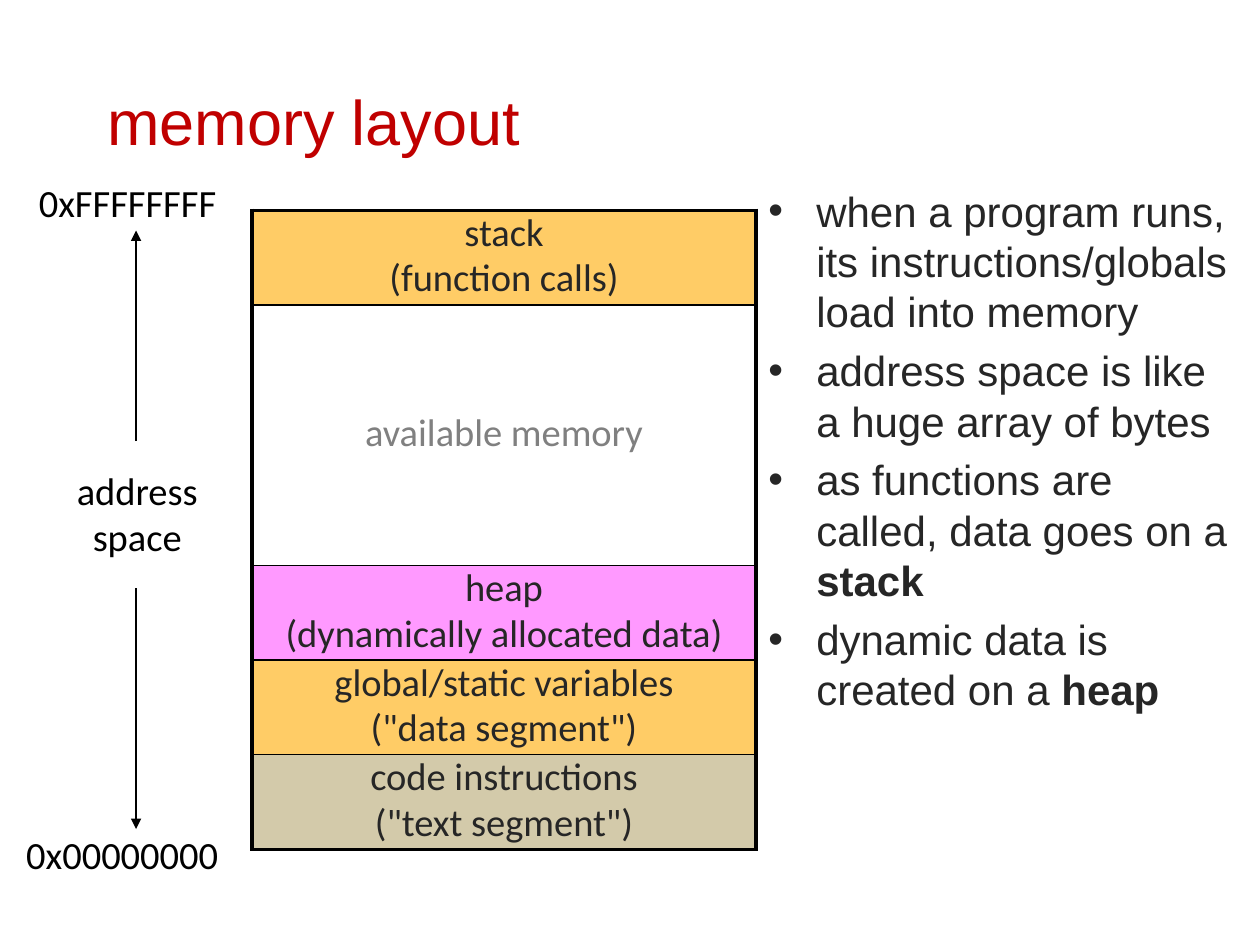
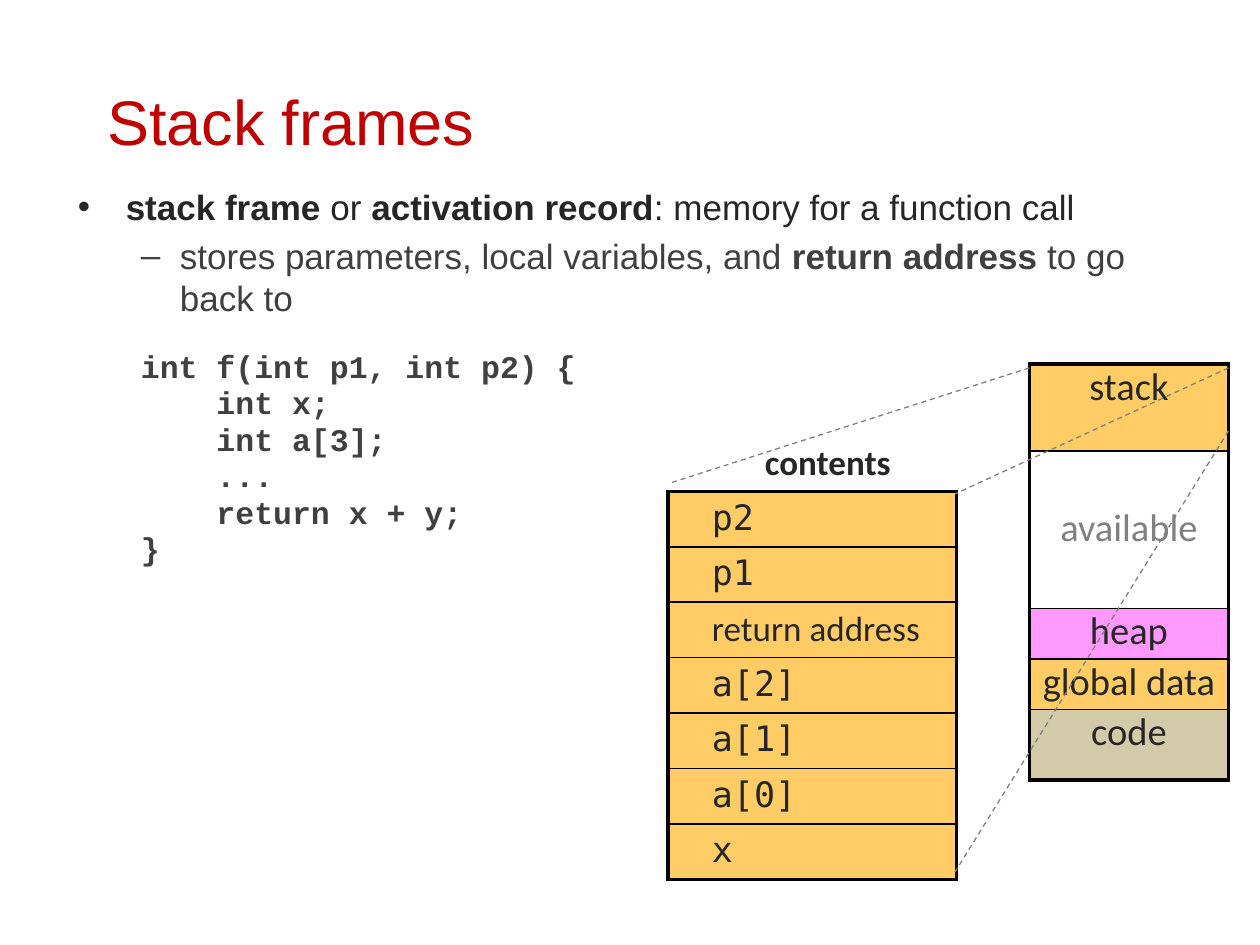
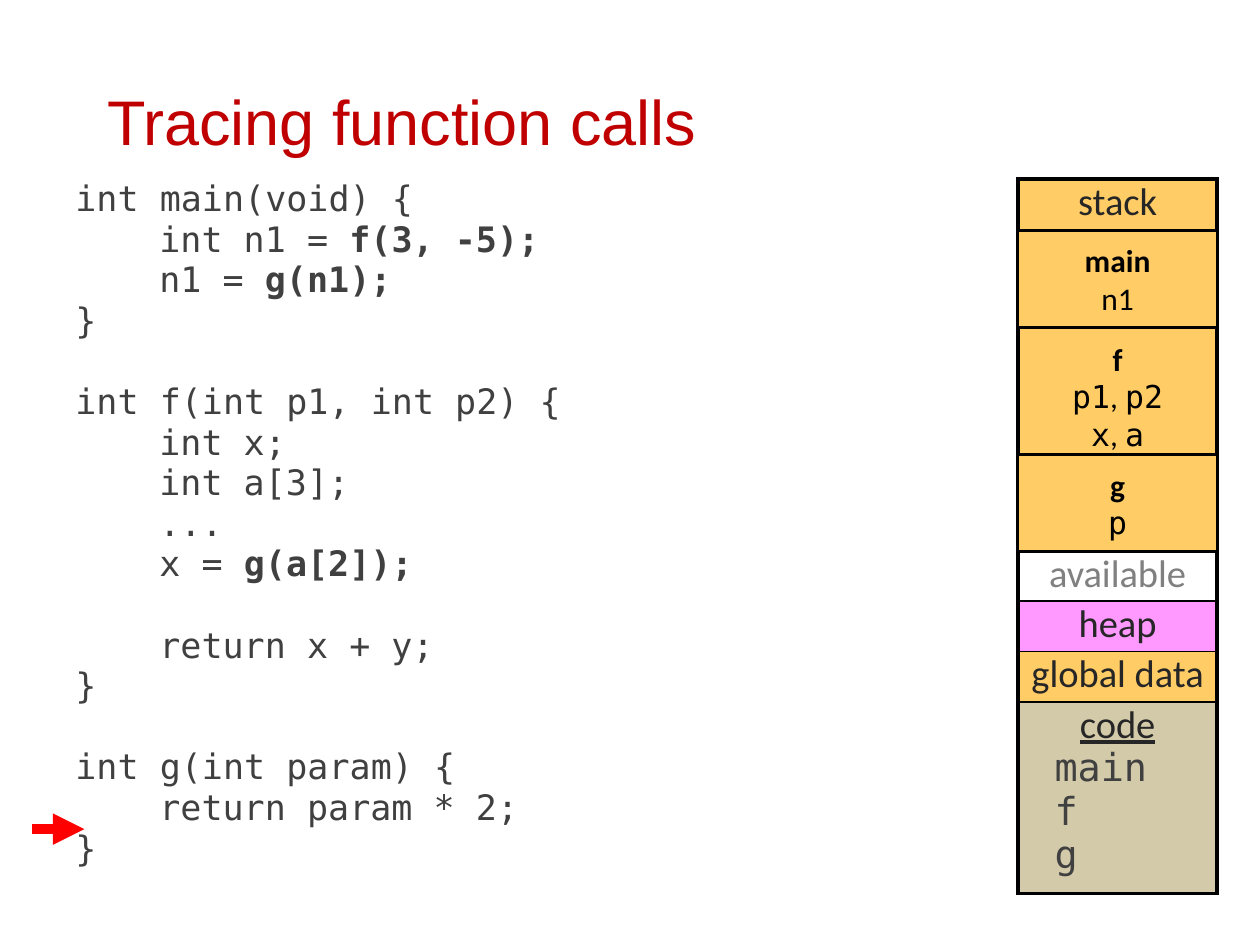
from collections import namedtuple
from dataclasses import dataclass

from lxml import etree
from pptx import Presentation
from pptx.dml.color import RGBColor
from pptx.enum.dml import MSO_LINE
from pptx.enum.shapes import MSO_CONNECTOR, MSO_SHAPE
from pptx.enum.text import MSO_ANCHOR, PP_ALIGN
from pptx.oxml.ns import qn
from pptx.util import Inches, Pt


@dataclass(frozen=True)
class Theme:
    # Colours
    title: str = "C00000"
    ink: str = "262626"
    detail: str = "404040"
    muted: str = "808080"
    black: str = "000000"
    marker: str = "FF0000"
    stack: str = "FFCC66"
    heap: str = "FF99FF"
    code: str = "D3CAAA"
    # Fonts
    sans: str = "Arial"
    label: str = "Calibri"
    mono: str = "DejaVu Sans Mono"
    typewriter: str = "Courier New"
    # Type sizes and line widths, in points
    title_size: int = 36
    body_size: int = 24
    text_size: int = 20
    code_size: int = 18
    label_size: int = 22
    outer_line: float = 2.25
    inner_line: float = 1
    frame_line: float = 1.5
    thin_line: float = 0.75


THEME = Theme()
Box = namedtuple("Box", "left top width height")
Region = namedtuple("Region", "lines fill height anchor", defaults=[MSO_ANCHOR.TOP])
LINE_HEIGHT = 1.2      # body line pitch, relative to the type size
TIGHT = 0.8            # line spacing of code and table cells
GAP = 0.2              # space before a paragraph, relative to the type size
MONO_WIDTH = 0.6       # character width of the monospaced fonts
LEVEL_TWO = 0.5        # left edge of second-level text


def rgb(value):
    return RGBColor.from_string(value)


def place(box):
    return [Inches(length) for length in box]


# ---- Text ----

def write(paragraph, text, size, color, font, bold=False):
    """Write text in which **...** turns bold and `...` monospaced."""
    for i, part in enumerate(text.split("**")):
        for j, piece in enumerate(part.split("`")):
            if not piece:
                continue
            run = paragraph.add_run()
            run.text = piece
            run.font.size = Pt(size)
            run.font.bold = bold or i % 2 == 1
            run.font.color.rgb = rgb(color)
            run.font.name = THEME.mono if j % 2 else font


def indent(paragraph, margin, hanging=0, bullet=None):
    props = paragraph._p.get_or_add_pPr()
    props.set("marL", str(Inches(margin)))
    props.set("indent", str(-Inches(hanging)))
    if bullet:
        etree.SubElement(props, qn("a:buFont")).set("typeface", THEME.sans)
        etree.SubElement(props, qn("a:buChar")).set("char", bullet)


def paragraphs(frame, count):
    return [frame.paragraphs[0]] + [frame.add_paragraph() for _ in range(count - 1)]


def add_text_box(slide, box, wrap=True):
    frame = slide.shapes.add_textbox(*place(box)).text_frame
    frame.word_wrap = wrap
    return frame


def write_bullet(paragraph, text, size, color, level=0):
    paragraph.space_before = Pt(GAP * size)
    paragraph.line_spacing = Pt(LINE_HEIGHT * size)
    margin, hanging, bullet = [(0.38, 0.38, "•"), (0.81, 0.31, "–")][level]
    indent(paragraph, margin, hanging, bullet)
    write(paragraph, text, size, color, THEME.sans)


def write_code(paragraph, line, size, font, depth=0, gap=0, bold=False):
    """Write a code line; depth counts indents and gap is extra space above."""
    paragraph.space_before = Pt(GAP * size + gap)
    paragraph.line_spacing = Pt(LINE_HEIGHT * TIGHT * size)
    indent(paragraph, LEVEL_TWO + depth * 4 * MONO_WIDTH * size / 72)
    write(paragraph, line, size, THEME.detail, font, bold)


def write_label(frame, lines, size=THEME.label_size, align=PP_ALIGN.LEFT):
    for paragraph, line in zip(paragraphs(frame, len(lines)), lines):
        paragraph.alignment = align
        write(paragraph, line, size, THEME.black, THEME.label)


# ---- Lines and tables ----

def add_line(shapes, start, end, color, width, dashed=False, arrow=False):
    line = shapes.add_connector(MSO_CONNECTOR.STRAIGHT, *place(start + end))
    line.line.color.rgb = rgb(color)
    line.line.width = Pt(width)
    if dashed:
        line.line.dash_style = MSO_LINE.DASH
    if arrow:
        etree.SubElement(line.line._get_or_add_ln(), qn("a:tailEnd")).set("type", "triangle")
    etree.SubElement(line._element.spPr, qn("a:effectLst"))


def style_cell(cell, fill, left=0, right=0, top=0, bottom=0):
    """Fill a cell and draw its borders; a width of 0 means no border."""
    if fill:
        cell.fill.solid()
        cell.fill.fore_color.rgb = rgb(fill)
    else:
        cell.fill.background()
    props = cell._tc.get_or_add_tcPr()
    for i, (side, width) in enumerate(zip("LRTB", (left, right, top, bottom))):
        border = etree.Element(qn(f"a:ln{side}"), w=str(Pt(width)))
        if width:
            solid = etree.SubElement(border, qn("a:solidFill"))
            etree.SubElement(solid, qn("a:srgbClr")).set("val", THEME.black)
        else:
            etree.SubElement(border, qn("a:noFill"))
        props.insert(i, border)


def add_plain_table(slide, box, heights, widths):
    table = slide.shapes.add_table(len(heights), len(widths), *place(box)).table
    table.first_row = table.horz_banding = False
    for row, height in zip(table.rows, heights):
        row.height = Inches(height)
    for column, width in zip(table.columns, widths):
        column.width = Inches(width)
    return table


def edge(at_rim):
    return THEME.outer_line if at_rim else THEME.inner_line


def add_memory_map(slide, left, top, width, regions):
    """Draw memory regions from the highest address to the lowest."""
    heights = [region.height for region in regions]
    table = add_plain_table(slide, Box(left, top, width, sum(heights)), heights, [width])
    for i, region in enumerate(regions):
        cell = table.cell(i, 0)
        style_cell(cell, region.fill, THEME.outer_line, THEME.outer_line,
                   edge(i == 0), edge(i == len(regions) - 1))
        cell.vertical_anchor = region.anchor
        color = THEME.ink if region.fill else THEME.muted
        lines = region.lines
        for paragraph, line in zip(paragraphs(cell.text_frame, len(lines)), lines):
            paragraph.alignment = PP_ALIGN.CENTER
            paragraph.line_spacing = TIGHT
            paragraph.space_before = Pt(GAP * THEME.label_size)
            write(paragraph, line, THEME.label_size, color, THEME.label)
    return table


def add_frame_contents(slide, box, slots):
    """Draw the slots of one stack frame under a heading, beside an empty column."""
    count = len(slots) + 1
    spacer = 0.88
    table = add_plain_table(slide, box, [box.height / count] * count,
                            [spacer, box.width - spacer])
    for i, text in enumerate(["**contents**"] + slots):
        style_cell(table.cell(i, 0), None, right=THEME.outer_line if i else 0)
        cell = table.cell(i, 1)
        if i:
            style_cell(cell, THEME.stack, THEME.outer_line, THEME.outer_line,
                       edge(i == 1), edge(i == count - 1))
        else:
            style_cell(cell, None, bottom=THEME.outer_line)
        paragraph = cell.text_frame.paragraphs[0]
        paragraph.alignment = PP_ALIGN.LEFT if i else PP_ALIGN.CENTER
        indent(paragraph, 0.25)
        write(paragraph, text, THEME.text_size, THEME.ink, THEME.label)


def add_call_frame(slide, box, lines):
    frame = slide.shapes.add_shape(MSO_SHAPE.RECTANGLE, *place(box))
    frame.shadow.inherit = False
    frame.fill.solid()
    frame.fill.fore_color.rgb = rgb(THEME.stack)
    frame.line.color.rgb = rgb(THEME.black)
    frame.line.width = Pt(THEME.frame_line)
    frame.text_frame.word_wrap = True
    frame.text_frame.vertical_anchor = MSO_ANCHOR.MIDDLE
    write_label(frame.text_frame, lines, THEME.code_size, PP_ALIGN.CENTER)


# ---- Slides ----

def add_titled_slide(deck, text):
    slide = deck.slides.add_slide(deck.slide_layouts[5])
    title = slide.shapes.title
    title.left, title.top, title.width, title.height = place(Box(0.75, 0.33, 8.5, 1.25))
    title.text_frame.vertical_anchor = MSO_ANCHOR.MIDDLE
    paragraph = title.text_frame.paragraphs[0]
    paragraph.alignment = PP_ALIGN.LEFT
    write(paragraph, text, THEME.title_size, THEME.title, THEME.sans)
    return slide


def add_memory_layout(deck):
    slide = add_titled_slide(deck, "memory layout")
    points = [
        "when a program runs, its instructions/globals load into memory",
        "address space is like a huge array of bytes",
        "as functions are called, data goes on a **stack**",
        "dynamic data is created on a **heap**",
    ]
    body = add_text_box(slide, Box(6, 1.42, 3.92, 6.08))
    for paragraph, point in zip(paragraphs(body, len(points)), points):
        write_bullet(paragraph, point, THEME.body_size, THEME.ink)

    add_memory_map(slide, 2, 1.67, 4, [
        Region(["stack", "(function calls)"], THEME.stack, 0.75),
        Region(["available memory"], None, 2.07, MSO_ANCHOR.MIDDLE),
        Region(["heap", "(dynamically allocated data)"], THEME.heap, 0.75),
        Region(["global/static variables", '("data segment")'], THEME.stack, 0.75),
        Region(["code instructions", '("text segment")'], THEME.code, 0.75),
    ])

    # Address scale
    write_label(add_text_box(slide, Box(0.11, 6.55, 1.72, 0.47), False), ["0x00000000"])
    write_label(add_text_box(slide, Box(0.21, 1.37, 1.61, 0.47), False), ["0xFFFFFFFF"])
    write_label(add_text_box(slide, Box(0.51, 3.66, 1.16, 0.83), False),
                ["address", "space"], align=PP_ALIGN.CENTER)
    for start, end in [(3.5, 1.83), (4.67, 6.58)]:
        add_line(slide.shapes, (1.08, start), (1.08, end), THEME.black,
                 THEME.thin_line, arrow=True)


def add_stack_frames(deck):
    slide = add_titled_slide(deck, "Stack frames")
    code = [("int f(int p1, int p2) {", 0), ("int x;", 1), ("int a[3];", 1),
            ("...", 1), ("return x + y;", 1), ("}", 0)]
    body = add_text_box(slide, Box(0.52, 1.42, 8.73, 6.08))
    definition, detail, *code_lines = paragraphs(body, 2 + len(code))
    write_bullet(definition,
                 "**stack frame** or **activation record**: memory for a function call",
                 THEME.text_size, THEME.ink)
    write_bullet(detail,
                 "stores parameters, local variables, and **return address** to go back to",
                 THEME.text_size, THEME.detail, level=1)
    for i, (paragraph, (line, depth)) in enumerate(zip(code_lines, code)):
        write_code(paragraph, line, THEME.code_size, THEME.typewriter, depth,
                   gap=0 if i else 17, bold=True)

    add_memory_map(slide, 8.17, 2.89, 1.58, [
        Region(["stack"], THEME.stack, 0.69),
        Region(["available"], None, 1.25, MSO_ANCHOR.MIDDLE),
        Region(["heap"], THEME.heap, 0.4),
        Region(["global data"], THEME.stack, 0.4),
        Region(["code"], THEME.code, 0.56),
    ])
    add_frame_contents(slide, Box(4.42, 3.46, 3.17, 3.52),
                       ["`p2`", "`p1`", "return address", "`a[2]`", "`a[1]`", "`a[0]`", "`x`"])

    # Zoom lines from the stack to its contents
    zoom = slide.shapes.add_group_shape()
    for start, end in [((8.17, 2.92), (5.33, 3.83)),
                       ((9.75, 3.42), (7.58, 6.92)),
                       ((9.75, 2.92), (7.58, 3.92))]:
        add_line(zoom.shapes, start, end, THEME.muted, THEME.thin_line, dashed=True)


def add_function_trace(deck):
    slide = add_titled_slide(deck, "Tracing function calls")
    # Blocks of (line, depth); a blank line's worth of space parts the blocks
    blocks = [
        [("int main(void) {", 0), ("int n1 = **f(3, -5);**", 1),
         ("n1 = **g(n1);**", 1), ("}", 0)],
        [("int f(int p1, int p2) {", 0), ("int x;", 1), ("int a[3];", 1),
         ("...", 1), ("x = **g(a[2]);**", 1)],
        [("return x + y;", 1), ("}", 0)],
        [("int g(int param) {", 0), ("return param * 2;", 1), ("}", 0)],
    ]
    size = THEME.text_size
    blank_line = (LINE_HEIGHT * TIGHT + GAP) * size
    code = [(line, depth, blank_line if b and not i else 0)
            for b, block in enumerate(blocks) for i, (line, depth) in enumerate(block)]
    body = add_text_box(slide, Box(0, 1.42, 10, 6.08))
    for paragraph, (line, depth, gap) in zip(paragraphs(body, len(code)), code):
        write_code(paragraph, line, size, THEME.mono, depth, gap)

    # Memory map, with the frame of f behind it and the others in front
    left, width = 8.08, 1.58
    add_call_frame(slide, Box(left, 2.58, width, 1.13), ["**f**", "`p1`, `p2`", "`x`, `a`"])
    memory = add_memory_map(slide, left, 1.42, width, [
        Region(["stack"], THEME.stack, 0.4),
        Region(["available"], None, 2.95, MSO_ANCHOR.BOTTOM),
        Region(["heap"], THEME.heap, 0.4),
        Region(["global data"], THEME.stack, 0.4),
        Region(["code", "`main`", "`f`", "`g`"], THEME.code, 1.52),
    ])
    heading, *functions = memory.cell(4, 0).text_frame.paragraphs
    heading.runs[0].font.underline = True
    for function in functions:
        function.alignment = PP_ALIGN.LEFT
        indent(function, 0.44, 0.25)
        function.runs[0].font.color.rgb = rgb(THEME.detail)
    add_call_frame(slide, Box(left, 1.83, width, 0.77), ["**main**", "n1"])
    add_call_frame(slide, Box(left, 3.61, width, 0.77), ["**g**", "`p`"])

    # Current line marker
    add_line(slide.shapes, (0.25, 6.58), (0.67, 6.58), THEME.marker, 6, arrow=True)


deck = Presentation()
deck.slide_width, deck.slide_height = Inches(10), Inches(7.5)
add_memory_layout(deck)
add_stack_frames(deck)
add_function_trace(deck)
deck.save("out.pptx")
